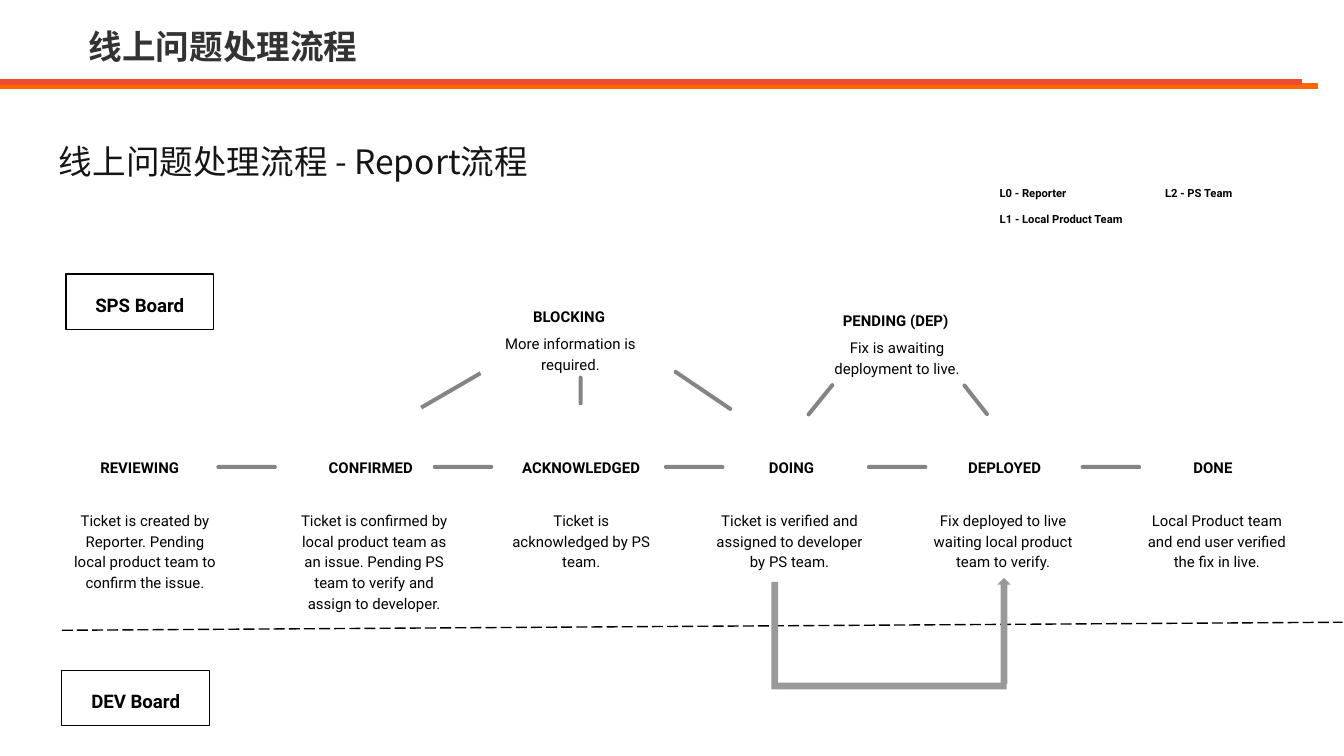
from lxml import etree
from pptx import Presentation
from pptx.dml.color import RGBColor
from pptx.enum.dml import MSO_LINE
from pptx.enum.shapes import MSO_CONNECTOR, MSO_SHAPE
from pptx.enum.text import MSO_ANCHOR, MSO_AUTO_SIZE, PP_ALIGN
from pptx.oxml.ns import qn
from pptx.util import Pt

PX = 9144  # 100 px to the inch
LEFT, CENTER = PP_ALIGN.LEFT, PP_ALIGN.CENTER
TOP, MIDDLE, BOTTOM = MSO_ANCHOR.TOP, MSO_ANCHOR.MIDDLE, MSO_ANCHOR.BOTTOM
RECT, ROUND, UP_ARROW = MSO_SHAPE.RECTANGLE, MSO_SHAPE.ROUNDED_RECTANGLE, MSO_SHAPE.UP_ARROW
color = RGBColor.from_string

prs = Presentation()
prs.slide_width = 1000 * PX
prs.slide_height = prs.slide_width * 9 // 16
s = prs.slides.add_slide(prs.slide_layouts[5])


def write(text, x, y, w, h, sp=None, size=8, bold=False, font="Roboto", fg="000000",
          align=CENTER, anchor=TOP, inset=10, spacing=1.15):
    if sp is None:
        sp = s.shapes.add_textbox(0, 0, 0, 0)
    sp.left, sp.top, sp.width, sp.height = x * PX, y * PX, w * PX, h * PX
    tf = sp.text_frame
    tf.word_wrap = True
    tf.auto_size = MSO_AUTO_SIZE.NONE
    tf.vertical_anchor = anchor
    tf.margin_left = tf.margin_top = tf.margin_right = tf.margin_bottom = inset * PX
    p = tf.paragraphs[0]
    p.alignment, p.line_spacing = align, spacing
    r = p.add_run()
    r.text = text
    r.font.size, r.font.bold = Pt(size), bold
    r.font.color.rgb = color(fg)
    r.font.name = font
    etree.SubElement(r.font._element, qn("a:ea"), typeface=font)


def block(kind, x, y, w, h, fill=None, rotation=0):
    sp = s.shapes.add_shape(kind, x * PX, y * PX, w * PX, h * PX)
    sp.shadow.inherit = False
    sp.rotation = rotation
    if fill:
        sp.fill.solid()
        sp.fill.fore_color.rgb = color(fill)
        sp.line.fill.background()
    else:
        sp.fill.background()
        sp.line.color.rgb = color("000000")
        sp.line.width = Pt(0.75)
    return sp


# Header rules and the dashed divider between the boards
for x1, y1, x2, y2, line_color, width, dash in [
    (0, 64, 981, 64, "FF6600", 3, None),
    (0, 61, 969, 61, "EE4D2D", 3, None),
    (46, 469, 999, 463, "000000", 0.75, MSO_LINE.LONG_DASH),
]:
    line = s.shapes.add_connector(MSO_CONNECTOR.STRAIGHT, x1 * PX, y1 * PX, x2 * PX, y2 * PX)
    line.line.color.rgb = color(line_color)
    line.line.width = Pt(width)
    if dash:
        line.line.dash_style = dash
    etree.SubElement(line._element.spPr, qn("a:effectLst"))

# Title and subtitle
write("线上问题处理流程", 60, 8, 881, 48, sp=s.shapes.title, size=18, bold=True, font="Arial",
      fg="333333", align=LEFT, anchor=BOTTOM, inset=6, spacing=0.9)
write("线上问题处理流程 - Report流程", 34, 92, 932, 56, size=18, font="Noto Sans CJK SC",
      fg="151515", align=LEFT, anchor=MIDDLE, spacing=1)

# Legend of support levels
for text, x, y, w, h, align in [
    ("L0 - Reporter", 734, 135, 110, 16, LEFT),
    ("L1 - Local Product Team", 729, 154, 121, 16, CENTER),
    ("L2 - PS Team", 857, 132, 92, 22, LEFT),
]:
    write(text, x, y, w, h, size=6, bold=True, align=align, anchor=MIDDLE)

# Board labels
for text, x, y in [("SPS Board", 49, 204), ("DEV Board", 46, 499)]:
    write(text, x, y, 110, 41, sp=block(RECT, x, y, 110, 41), size=10, bold=True, anchor=BOTTOM)

# Stages: name with its left, top and width, description with its left, top, width and height
for name, nx, ny, nw, text, x, y, w, h in [
    ("REVIEWING", 59, 329, 90,
     "Ticket is created by Reporter. Pending local product team to confirm the issue.",
     41, 369, 134, 73),
    ("CONFIRMED", 228, 329, 96,
     "Ticket is confirmed by local product team as an issue. "
     "Pending PS team to verify and assign to developer.", 213, 369, 131, 97),
    ("ACKNOWLEDGED", 376, 329, 113, "Ticket is acknowledged by PS team.", 367, 369, 131, 56),
    ("DOING", 541, 329, 96, "Ticket is verified and assigned to developer by PS team.",
     522, 369, 131, 56),
    ("DEPLOYED", 702, 329, 91, "Fix deployed to live waiting local product team to verify.",
     681, 369, 131, 56),
    ("DONE", 868, 329, 69, "Local Product team and end user verified the fix in live.",
     840, 369, 131, 56),
    ("BLOCKING", 367, 217, 113, "More information is required.", 359, 237, 131, 56),
    ("PENDING (DEP)", 610, 220, 113, "Fix is awaiting deployment to live.", 602, 240, 131, 56),
]:
    write(name, nx, ny, nw, 25, bold=True)
    write(text, x, y, w, h)

# Bars between stages, then slanted bars to the side states
bars = [(x, 346, 45, 0, 0.5) for x in (161, 322, 494, 645, 804)]
bars += [
    (310, 289, 51, 329.9, 0),
    (421, 289, 22, 90, 0.5),
    (497, 289, 52, 34.1, 0.5),
    (595, 296, 31, 309, 0.5),
    (711, 296, 30, 51.7, 0.5),
]
for x, y, w, rotation, corner in bars:
    block(ROUND, x, y, w, 3, "858585", rotation).adjustments[0] = corner

# Path through the DEV board from DOING to DEPLOYED
block(UP_ARROW, 742, 430, 10, 79, "999999")
block(RECT, 574, 433, 5, 80, "999999")
block(RECT, 579, 508, 170, 5, "999999")

prs.save("out.pptx")
